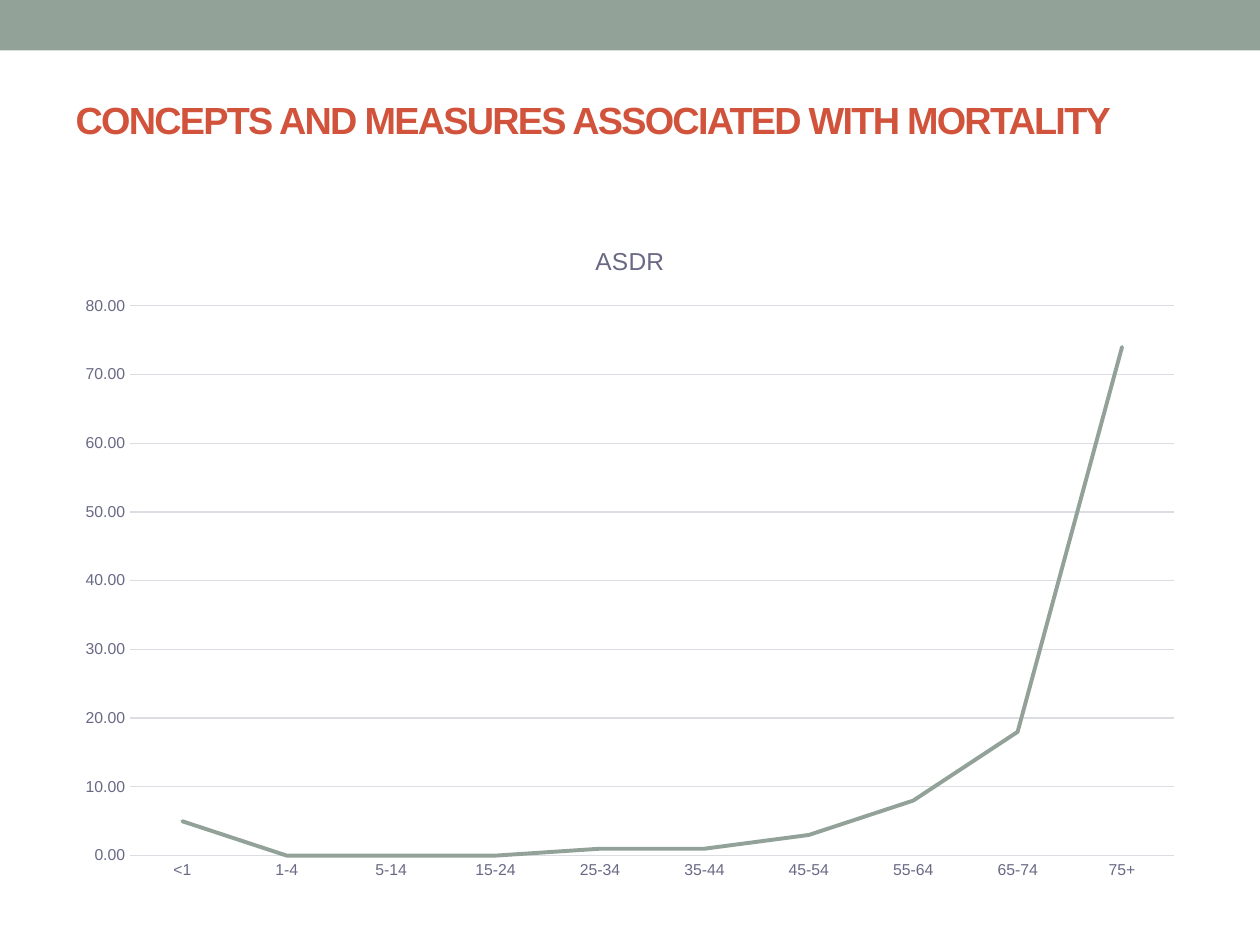
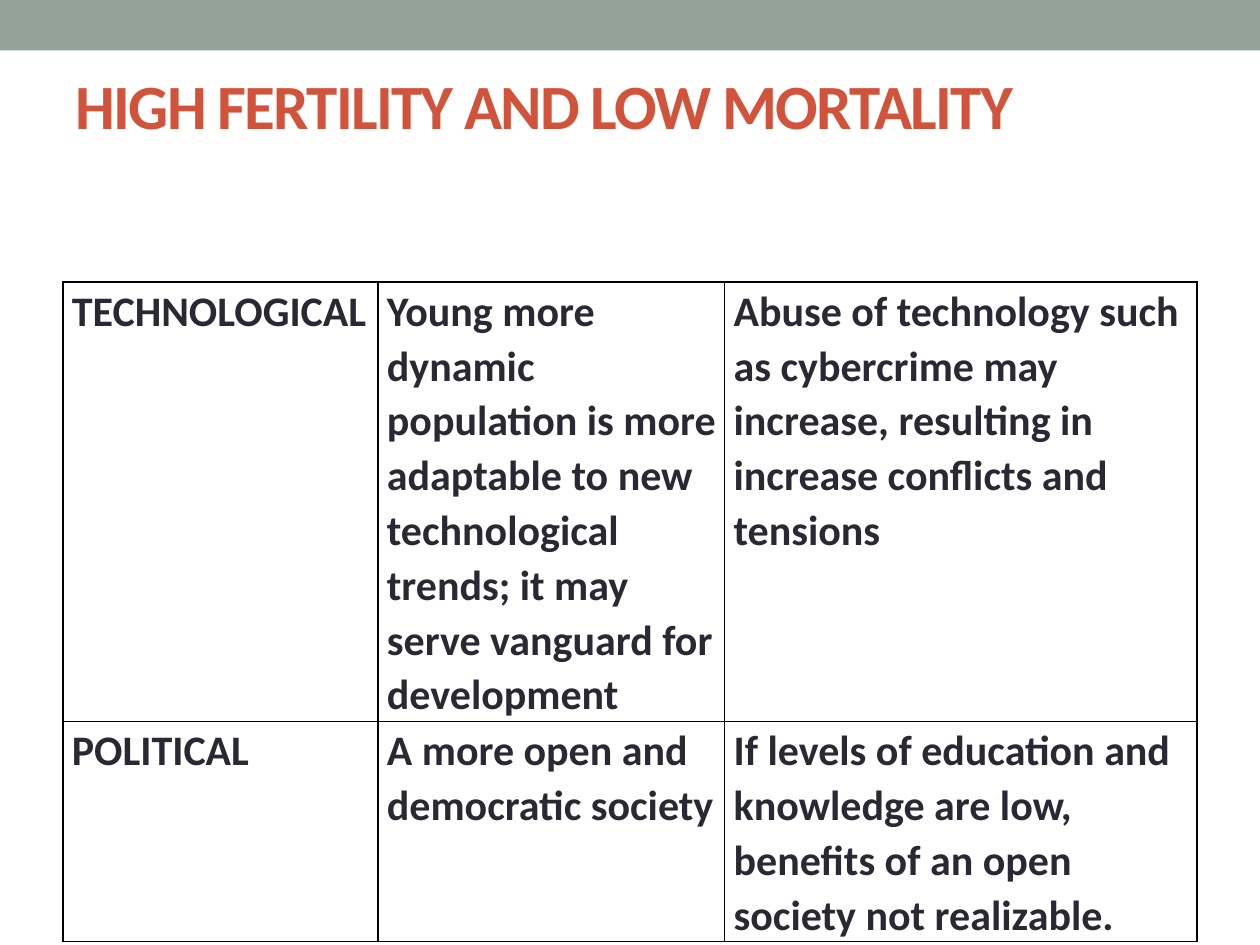
"""Build two slides on mortality: a line chart of death rates and a table of effects."""
from dataclasses import dataclass
from typing import Any

from lxml import etree
from pptx import Presentation
from pptx.chart.data import CategoryChartData
from pptx.dml.color import RGBColor
from pptx.enum.chart import XL_CHART_TYPE, XL_MARKER_STYLE, XL_TICK_MARK
from pptx.enum.shapes import MSO_SHAPE
from pptx.enum.text import MSO_ANCHOR, PP_ALIGN
from pptx.oxml.ns import qn
from pptx.util import Cm, Pt

LINE = XL_CHART_TYPE.LINE
BARE = XL_MARKER_STYLE.NONE
NO_TICK = XL_TICK_MARK.NONE
RECT = MSO_SHAPE.RECTANGLE
TOP = MSO_ANCHOR.TOP
LEFT = PP_ALIGN.LEFT

SAGE, RUST, INK, SLATE, MIST, BLACK = "93A299", "D2533C", "292934", "696986", "DCDCE3", "000000"

RATES = {
    "<1": 5, "1-4": 0, "5-14": 0, "15-24": 0, "25-34": 1,
    "35-44": 1, "45-54": 3, "55-64": 8, "65-74": 18, "75+": 74,
}
COLS = (6.35, 6.99, 9.52)
ROWS = (8.64, 4.36)
CELLS = (
    ("TECHNOLOGICAL",
     "Young more dynamic population is more adaptable to new technological trends; "
     "it may serve vanguard for development",
     "Abuse of technology such as cybercrime may increase, resulting in increase "
     "conflicts and tensions"),
    ("POLITICAL",
     "A more open and democratic society",
     "If levels of education and knowledge are low, benefits of an open society not "
     "realizable."),
)


@dataclass(frozen=True)
class Box:
    left: float
    top: float
    width: float
    height: float

    def place(self) -> tuple:
        return Cm(self.left), Cm(self.top), Cm(self.width), Cm(self.height)


@dataclass(frozen=True)
class Head:
    text: str
    face: str
    size: float
    drop: float


BAND = Box(0, 0, 25.4, 1.02)
TITLE = Box(1.27, 1.47, 22.86, 2.74)
PLOT = Box(1.27, 4.45, 22.86, 13.54)
GRID = Box(1.27, 5.68, sum(COLS), sum(ROWS))
HEADS = (
    Head("CONCEPTS AND MEASURES ASSOCIATED WITH MORTALITY", "Arial", 21.6, 0.58),
    Head("HIGH FERTILITY AND LOW MORTALITY", "Calibri", 36, 0.05),
)


def rgb(code: str) -> RGBColor:
    return RGBColor.from_string(code)


def apply(item: Any, form: dict) -> None:
    for name, value in form.items():
        setattr(item, name, value)


def set_font(font: Any, face: str, size: float, code: str, bold: bool = False) -> None:
    apply(font, {"name": face, "size": Pt(size), "bold": bold})
    font.color.rgb = rgb(code)


def set_line(line: Any, code: str, width: float) -> None:
    line.color.rgb = rgb(code)
    line.width = Pt(width)


def add_band(slide: Any) -> None:
    band = slide.shapes.add_shape(RECT, *BAND.place())
    band.shadow.inherit = False
    band.fill.solid()
    band.fill.fore_color.rgb = rgb(SAGE)
    band.line.fill.background()
    slide.slide_layout.shapes._spTree.insert(2, band._element)


def set_title(slide: Any, head: Head) -> None:
    shape = slide.shapes.title
    apply(shape, dict(zip(("left", "top", "width", "height"), TITLE.place())))
    frame = shape.text_frame
    apply(frame, {"word_wrap": True, "vertical_anchor": TOP, "margin_top": Cm(head.drop)})
    para = frame.paragraphs[0]
    apply(para, {"alignment": LEFT, "line_spacing": 0.9})
    run = para.add_run()
    run.text = head.text
    set_font(run.font, head.face, head.size, RUST, True)
    run._r.get_or_add_rPr().set("spc", "-100")


def add_rates(slide: Any) -> None:
    data = CategoryChartData(number_format="0.00")
    data.categories = list(RATES)
    data.add_series("ASDR", list(RATES.values()))
    chart = slide.shapes.add_chart(LINE, *PLOT.place(), data).chart
    apply(chart, {"has_legend": False, "has_title": True})
    set_font(chart.font, "Arial", 10, INK)

    run = chart.chart_title.text_frame.paragraphs[0].add_run()
    run.text = "ASDR"
    set_font(run.font, "Arial", 14, SLATE)

    ages, rates = chart.category_axis, chart.value_axis
    for axis in (ages, rates):
        apply(axis, {"major_tick_mark": NO_TICK, "minor_tick_mark": NO_TICK})
        set_font(axis.tick_labels.font, "Arial", 9, SLATE)
    set_line(ages.format.line, MIST, 0.75)
    apply(rates, {"minimum_scale": 0, "maximum_scale": 80, "major_unit": 10})
    apply(rates.tick_labels, {"number_format": "0.00", "number_format_is_linked": False})
    rates.format.line.fill.background()
    set_line(rates.major_gridlines.format.line, MIST, 0.75)

    chart.plots[0].vary_by_categories = False
    curve = chart.plots[0].series[0]
    curve.smooth = False
    curve.marker.style = BARE
    set_line(curve.format.line, SAGE, 2.25)
    curve.format.line._get_or_add_ln().set("cap", "rnd")


def add_edges(cell: Any) -> None:
    props = cell._tc.get_or_add_tcPr()
    for side in ("a:lnL", "a:lnR", "a:lnT", "a:lnB"):
        edge = etree.SubElement(props, qn(side), w=str(Pt(1)))
        fill = etree.SubElement(edge, qn("a:solidFill"))
        etree.SubElement(fill, qn("a:srgbClr"), val=BLACK)


def fill_cell(cell: Any, text: str) -> None:
    apply(cell, {"margin_left": Cm(0.18), "margin_right": Cm(0.15),
                 "margin_top": Cm(0.02), "margin_bottom": 0, "vertical_anchor": TOP})
    add_edges(cell)
    cell.fill.background()
    para = cell.text_frame.paragraphs[0]
    apply(para, {"line_spacing": 1.07, "space_after": Pt(8), "alignment": LEFT})
    run = para.add_run()
    run.text = text
    set_font(run.font, "Calibri", 24, INK, True)


def add_effects(slide: Any) -> None:
    table = slide.shapes.add_table(len(ROWS), len(COLS), *GRID.place()).table
    apply(table, {"first_row": False, "horz_banding": False})
    for col, width in zip(table.columns, COLS):
        col.width = Cm(width)
    for row, height, texts in zip(table.rows, ROWS, CELLS):
        row.height = Cm(height)
        for cell, text in zip(row.cells, texts):
            fill_cell(cell, text)


def main() -> None:
    deck = Presentation()
    apply(deck, {"slide_width": Cm(25.4), "slide_height": Cm(19.05)})
    layout = deck.slide_layouts[5]
    slides = [deck.slides.add_slide(layout) for _ in HEADS]
    add_band(slides[0])
    for slide, head, draw in zip(slides, HEADS, (add_rates, add_effects)):
        set_title(slide, head)
        draw(slide)
    deck.save("out.pptx")


if __name__ == "__main__":
    main()
